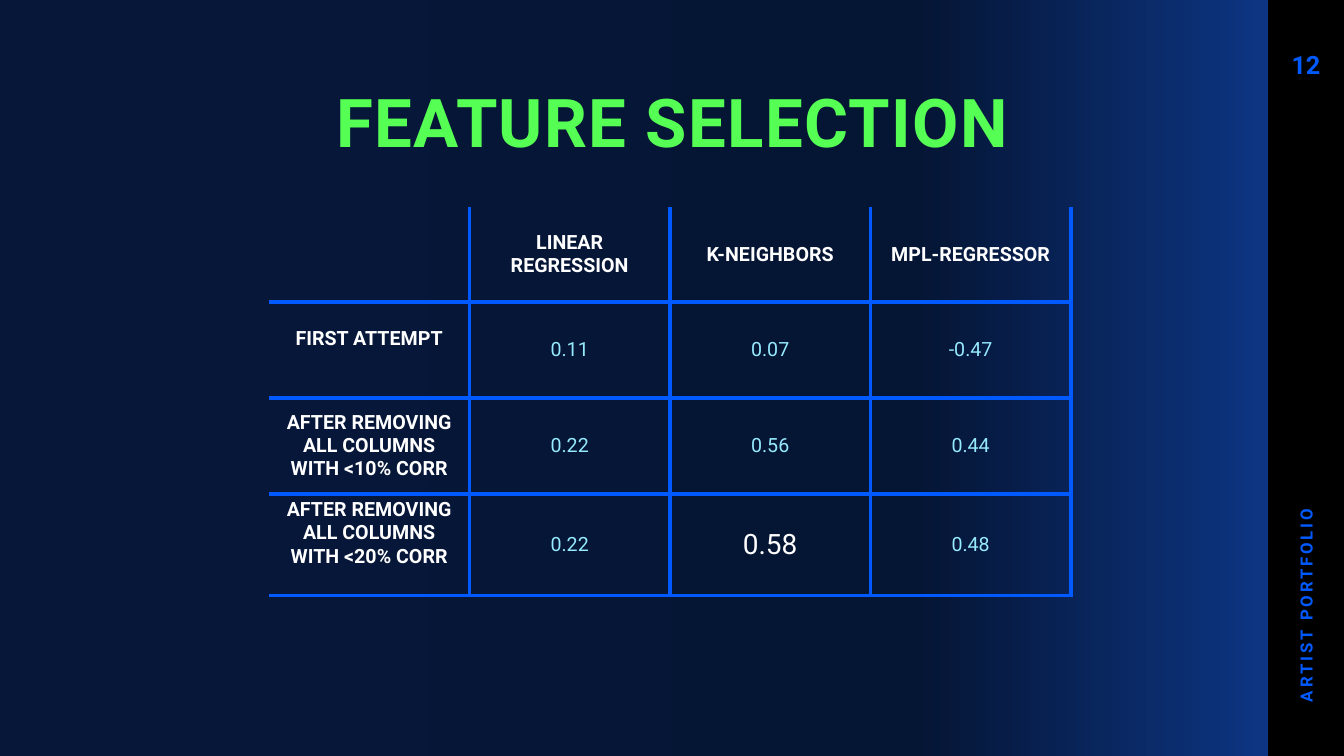
from dataclasses import dataclass

from lxml import etree
from pptx import Presentation
from pptx.dml.color import RGBColor
from pptx.enum.shapes import MSO_SHAPE
from pptx.enum.text import MSO_ANCHOR, PP_ALIGN
from pptx.oxml.ns import qn
from pptx.util import Emu, Pt

RECT = MSO_SHAPE.RECTANGLE
MIDDLE = MSO_ANCHOR.MIDDLE
LEFT, CENTER = PP_ALIGN.LEFT, PP_ALIGN.CENTER
NO_TABLE_STYLE = "{2D5ABB26-0587-4C30-8999-92F81FD0307C}"
SLIDE_W, SLIDE_H = 1344, 756


@dataclass(frozen=True)
class Theme:
    font: str = "Roboto"
    title: str = "55FF54"
    accent: str = "005AFF"
    value: str = "96EAFD"
    white: str = "FFFFFF"
    bar: str = "000000"
    backdrop: tuple = ((14, "061739"), (68, "051534"), (100, "0F3C94"))
    title_size: int = 48
    highlight_size: int = 20
    number_size: int = 18
    table_size: int = 14
    footer_size: int = 12
    rule: int = 3


THEME = Theme()
HEADERS = ["", "LINEAR REGRESSION", "K-NEIGHBORS", "MPL-REGRESSOR"]
SCORES = [
    ["FIRST ATTEMPT", "0.11", "0.07", "-0.47"],
    ["AFTER REMOVING ALL COLUMNS WITH <10% CORR", "0.22", "0.56", "0.44"],
    ["AFTER REMOVING ALL COLUMNS WITH <20% CORR", "0.22", "0.58", "0.48"],
]
ROW_HEIGHTS = [95, 96, 96, 101]
BEST = (3, 2)
RAISED_LABELS = {(1, 0), (3, 0)}


def px(n):
    return Emu(round(n * 914400 / 100.8))


def style(p, size, color, bold=True, align=CENTER):
    p.alignment = align
    p.font.name = THEME.font
    p.font.size = Pt(size)
    p.font.bold = bold
    p.font.color.rgb = RGBColor.from_string(color)


def add_label(s, box, text, size, color, align=CENTER, tracking=0):
    sp = s.shapes.add_textbox(*map(px, box))
    tf = sp.text_frame
    tf.word_wrap = True
    tf.vertical_anchor = MIDDLE
    tf.margin_left = tf.margin_right = tf.margin_top = tf.margin_bottom = 0
    p = tf.paragraphs[0]
    r = p.add_run()
    r.text = text
    style(p, size, color, align=align)
    if tracking:
        r.font._element.set("spc", str(tracking * 100))
    return sp


def set_backdrop(s):
    fill = s.background.fill
    fill.gradient()
    fill.gradient_angle = 0
    stops = s.element.find(".//" + qn("a:gsLst"))
    stops.clear()
    for percent, color in THEME.backdrop:
        gs = etree.SubElement(stops, qn("a:gs"), pos=str(percent * 1000))
        etree.SubElement(gs, qn("a:srgbClr"), val=color)


def add_sidebar(s, box):
    x, y, w, h = box
    bar = s.shapes.add_shape(RECT, *map(px, box))
    bar.shadow.inherit = False
    bar.fill.solid()
    bar.fill.fore_color.rgb = RGBColor.from_string(THEME.bar)
    bar.line.fill.background()
    # Page number
    add_label(s, (x, y + 33, w, 62), "12", THEME.number_size, THEME.accent)
    # Footer, reading upwards
    length, height = 424, 40
    footer = add_label(s, (x + w // 2 - length // 2, y + h - 286, length, height),
                       "ARTIST PORTFOLIO", THEME.footer_size, THEME.accent,
                       align=LEFT, tracking=2)
    footer.rotation = 270


def add_title(s, box):
    sp = add_label(s, box, "FEATURE SELECTION", THEME.title_size, THEME.title, tracking=1)
    sp.text_frame.paragraphs[0].line_spacing = 0.9


def set_borders(cell, shown):
    tc_pr = cell._tc.get_or_add_tcPr()
    for side in "LRTB":
        ln = etree.SubElement(tc_pr, qn("a:ln" + side), w=str(Pt(THEME.rule)))
        if side in shown:
            fill = etree.SubElement(ln, qn("a:solidFill"))
            etree.SubElement(fill, qn("a:srgbClr"), val=THEME.accent)
        else:
            etree.SubElement(ln, qn("a:noFill"))


def add_score_table(s, box):
    rows = [HEADERS] + SCORES
    frame = s.shapes.add_table(len(rows), len(HEADERS), *map(px, box))
    table = frame.table
    table.first_row = table.horz_banding = False
    table._tbl.tblPr.find(qn("a:tableStyleId")).text = NO_TABLE_STYLE
    for column in table.columns:
        column.width = px(box[2] / len(HEADERS))
    for row, height in zip(table.rows, ROW_HEIGHTS):
        row.height = px(height)

    for i, texts in enumerate(rows):
        for j, text in enumerate(texts):
            cell = table.cell(i, j)
            # Open outer edges at the top and left
            set_borders(cell, "RB" + ("T" if i else "") + ("L" if j else ""))
            cell.fill.background()
            cell.vertical_anchor = MIDDLE
            cell.margin_left = cell.margin_right = px(9)
            cell.margin_top = px(4)
            cell.margin_bottom = px(27 if (i, j) in RAISED_LABELS else 4)
            cell.text = text
            heading = i == 0 or j == 0
            best = (i, j) == BEST
            style(cell.text_frame.paragraphs[0],
                  THEME.highlight_size if best else THEME.table_size,
                  THEME.white if heading or best else THEME.value, bold=heading)


def main():
    prs = Presentation()
    prs.slide_width, prs.slide_height = px(SLIDE_W), px(SLIDE_H)
    s = prs.slides.add_slide(prs.slide_layouts[6])
    set_backdrop(s)
    add_sidebar(s, (1268, 0, 76, SLIDE_H))
    add_title(s, (118, 45, 1109, 161))
    add_score_table(s, (269, 207, 802, sum(ROW_HEIGHTS)))
    prs.save("out.pptx")


if __name__ == "__main__":
    main()
